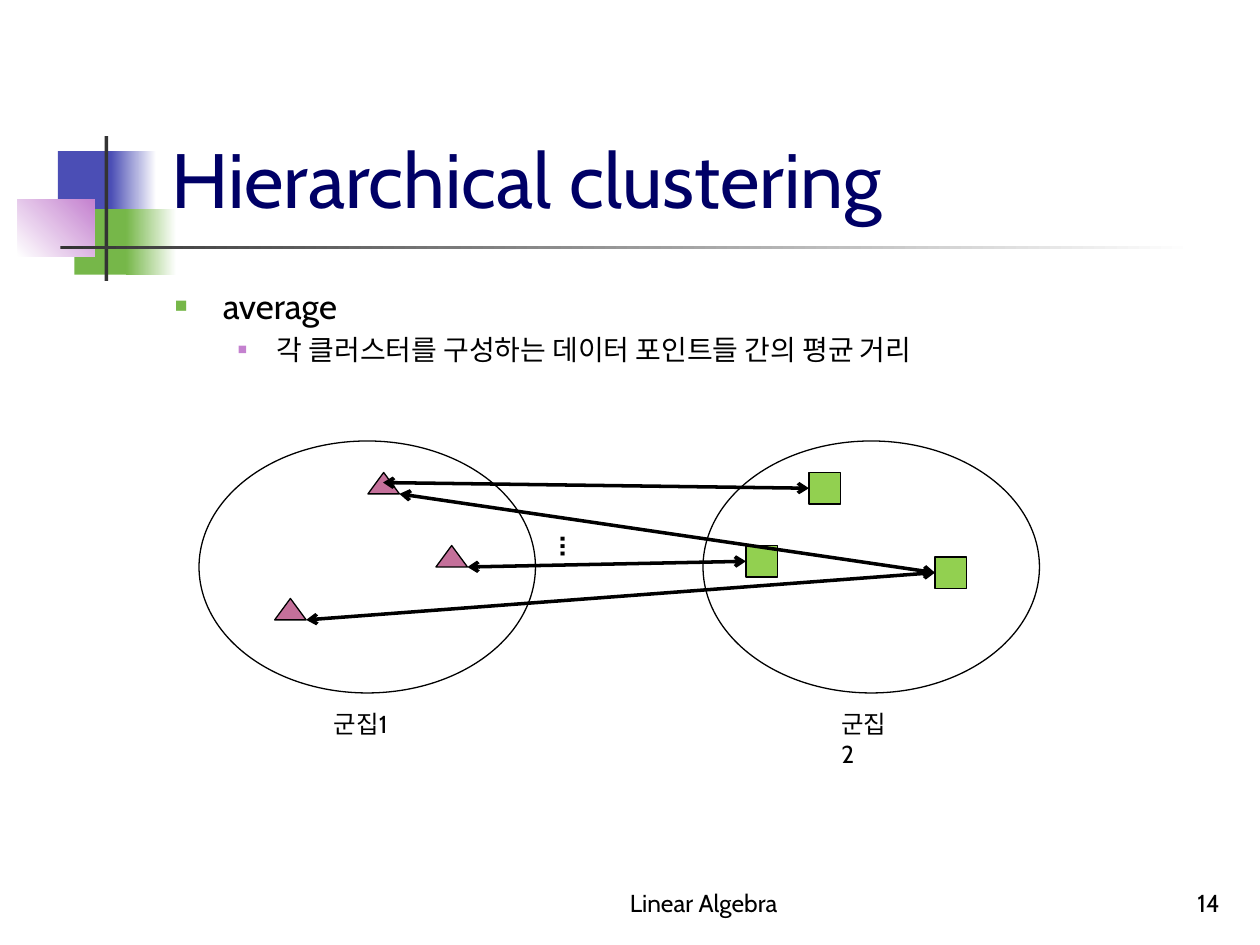
from lxml import etree
from pptx import Presentation
from pptx.dml.color import RGBColor
from pptx.enum.shapes import MSO_CONNECTOR, MSO_SHAPE
from pptx.enum.text import MSO_ANCHOR, MSO_AUTO_SIZE, PP_ALIGN
from pptx.oxml.ns import qn
from pptx.util import Inches, Pt

RECTANGLE = MSO_SHAPE.RECTANGLE
TRIANGLE = MSO_SHAPE.ISOSCELES_TRIANGLE
OVAL = MSO_SHAPE.OVAL
STRAIGHT = MSO_CONNECTOR.STRAIGHT
TOP, BOTTOM = MSO_ANCHOR.TOP, MSO_ANCHOR.BOTTOM
LEFT, CENTER, RIGHT = PP_ALIGN.LEFT, PP_ALIGN.CENTER, PP_ALIGN.RIGHT
NO_AUTOFIT = MSO_AUTO_SIZE.NONE

FONT = "Cabin"
BLACK, WHITE, DARK = "000000", "FFFFFF", "333333"
NAVY, BLUE, GREEN, PURPLE = "000066", "4B4EB5", "76B749", "C481CF"
PINK, LIME = "C4709A", "92D050"
LEFT_SIDE = 1


def color(hex_string):
    return RGBColor.from_string(hex_string)


def inches(box):
    return [Inches(value) for value in box]


def add_shape(slide, kind, box, fill=None, line=None, gradient_end=None, angle=0):
    shape = slide.shapes.add_shape(kind, *inches(box))
    shape.shadow.inherit = False
    if gradient_end:
        shape.fill.gradient()
        shape.fill.gradient_angle = angle
        for stop, position, value in zip(shape.fill.gradient_stops, (0, 1), (fill, gradient_end)):
            stop.position = position
            stop.color.rgb = color(value)
    elif fill:
        shape.fill.solid()
        shape.fill.fore_color.rgb = color(fill)
    else:
        shape.fill.background()
    if line:
        shape.line.color.rgb = color(line)
        shape.line.width = Pt(0.75)
    else:
        shape.line.fill.background()
    return shape


def add_run(paragraph, text, size, hex_string=BLACK, bold=False):
    run = paragraph.add_run()
    run.text = text
    run.font.name = FONT
    run.font.size = Pt(size)
    run.font.bold = bold
    run.font.color.rgb = color(hex_string)


def add_text(slide, box, text, size, align=LEFT, anchor=TOP, wrap=True, bold=False):
    frame = slide.shapes.add_textbox(*inches(box)).text_frame
    frame.word_wrap = wrap
    frame.vertical_anchor = anchor
    paragraph = frame.paragraphs[0]
    paragraph.alignment = align
    add_run(paragraph, text, size, bold=bold)
    return frame


def add_bullet(paragraph, hex_string, percent, margin, indent):
    properties = paragraph._p.get_or_add_pPr()
    properties.set("marL", str(Inches(margin)))
    properties.set("indent", str(Inches(-indent)))
    bullet_color = etree.SubElement(properties, qn("a:buClr"))
    etree.SubElement(bullet_color, qn("a:srgbClr"), val=hex_string)
    etree.SubElement(properties, qn("a:buSzPct"), val=str(percent * 1000))
    etree.SubElement(properties, qn("a:buFont"), typeface="Arial")
    etree.SubElement(properties, qn("a:buChar"), char="■")


def add_double_arrow(slide, start, square):
    connector = slide.shapes.add_connector(STRAIGHT, *inches(start), square.left, square.top)
    connector.end_connect(square, LEFT_SIDE)
    connector.line.color.rgb = color(BLACK)
    connector.line.width = Pt(2)
    line = connector.line._get_or_add_ln()
    for end in ("a:headEnd", "a:tailEnd"):
        etree.SubElement(line, qn(end), type="arrow")
    etree.SubElement(connector._element.spPr, qn("a:effectLst"))


def draw_decoration(slide, left, top):
    def block(x, y, width, height, fill, gradient_end=None, angle=0):
        add_shape(slide, RECTANGLE, (left + x, top + y, width, height), fill,
                  gradient_end=gradient_end, angle=angle)

    block(0.32, 0.12, 0.48, 0.52, BLUE)
    block(0.74, 0.12, 0.36, 0.52, BLUE, WHITE)
    block(0.45, 0.58, 0.46, 0.52, GREEN)
    block(0.86, 0.58, 0.4, 0.52, GREEN, WHITE)
    block(0, 0.5, 0.61, 0.46, WHITE, PURPLE, 45)
    block(0.69, 0, 0.03, 1.15, DARK)
    block(0.34, 0.87, 9, 0.03, DARK, WHITE)


def draw_title(slide, box, text):
    title = slide.shapes.title
    title.left, title.top, title.width, title.height = inches(box)
    frame = title.text_frame
    frame.auto_size = NO_AUTOFIT
    frame.vertical_anchor = BOTTOM
    frame.paragraphs[0].alignment = LEFT
    add_run(frame.paragraphs[0], text, 44, NAVY)


def draw_body(slide, box):
    frame = slide.shapes.add_textbox(*inches(box)).text_frame
    frame.word_wrap = True
    heading = frame.paragraphs[0]
    add_bullet(heading, GREEN, 60, 0.38, 0.38)
    add_run(heading, "average", 20)
    detail = frame.add_paragraph()
    detail.level = 1
    detail.space_before = Pt(3.2)
    add_bullet(detail, PURPLE, 55, 0.81, 0.31)
    add_run(detail, "각 클러스터를 구성하는 데이터 포인트들 간의 평균 거리", 16)


def draw_cluster(slide, box, kind, size, fill, points):
    """Draw an ellipse with its members; points are offsets from the box corner."""
    add_shape(slide, OVAL, box, line=BLACK)
    return [add_shape(slide, kind, (box[0] + x, box[1] + y, *size), fill, BLACK)
            for x, y in points]


def draw_diagram(slide, left, top):
    # Clusters
    draw_cluster(slide, (left, top, 2.67, 2), TRIANGLE, (0.25, 0.17), PINK,
                 [(0.6, 1.25), (1.34, 0.25), (1.88, 0.83)])
    upper, far, near = draw_cluster(slide, (left + 4, top, 2.67, 2), RECTANGLE,
                                    (0.25, 0.25), LIME,
                                    [(0.84, 0.25), (1.84, 0.92), (0.34, 0.83)])
    # Distances between members
    for x, y, square in ((1.46, 0.33, upper), (2.13, 1, near),
                         (0.85, 1.42, far), (1.59, 0.42, far)):
        add_double_arrow(slide, (left + x, top + y), square)
    # Labels
    add_text(slide, (left + 0.97, top + 2.08, 0.7, 0.34), "군집1", 14, wrap=False)
    add_text(slide, (left + 5, top + 2.08, 0.64, 0.34), "군집2", 14)
    dots = add_text(slide, (left + 2.67, top + 0.65, 0.5, 0.35), "…", 18, wrap=False, bold=True)
    dots._txBody.bodyPr.set("vert", "eaVert")


def draw_footer(slide, top, height):
    add_text(slide, (4, top, 3.17, height), "Linear Algebra", 14, CENTER, BOTTOM)
    add_text(slide, (7.7, top, 2.08, height), "14", 14, RIGHT, BOTTOM)


def main():
    presentation = Presentation()
    presentation.slide_width, presentation.slide_height = Inches(10), Inches(7.5)
    slide = presentation.slides.add_slide(presentation.slide_layouts[5])
    draw_decoration(slide, 0.14, 1.08)
    draw_title(slide, (1.26, 0.23, 8.52, 1.6), "Hierarchical clustering")
    draw_body(slide, (1.29, 2.21, 8.5, 4.5))
    draw_diagram(slide, 1.58, 3.5)
    draw_footer(slide, 6.83, 0.5)
    presentation.save("out.pptx")


if __name__ == "__main__":
    main()
